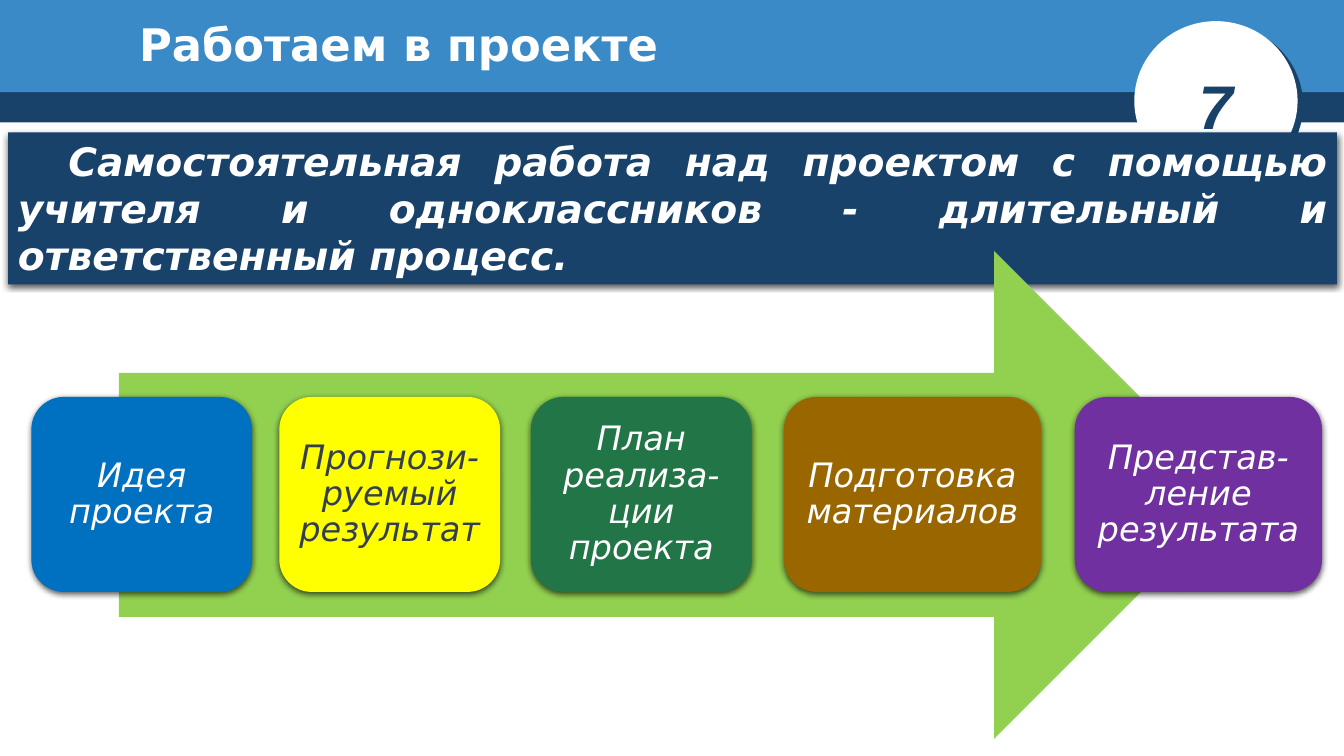
from dataclasses import dataclass

from lxml import etree
from pptx import Presentation, util as u
from pptx.dml.color import RGBColor
from pptx.enum import shapes, text
from pptx.oxml.ns import qn

Kind = shapes.MSO_SHAPE
Align = text.PP_ALIGN
Anchor = text.MSO_ANCHOR


@dataclass(frozen=True)
class Theme:
    font: str = "DejaVu Sans"
    number_font: str = "Arial"
    white: str = "FFFFFF"
    navy: str = "19426B"
    sky: str = "398AC7"
    green: str = "92D050"
    slate: str = "333F50"
    blue: str = "0070C0"
    yellow: str = "FFFF00"
    forest: str = "227547"
    brown: str = "996600"
    purple: str = "7030A0"
    black: str = "000000"
    number_size: int = 44
    title_size: int = 32
    banner_size: int = 28
    card_size: int = 24


@dataclass(frozen=True)
class Shadow:
    color: str
    opacity: int
    blur: float
    distance: float
    angle: int


SOFT = Shadow(Theme.black, 63, 4.5, 1.5, 90)
CRESCENT = Shadow(Theme.navy, 100, 0, 5, 37)


class SlideBuilder:
    """Areas are (left, top, width, height) in percent of the slide's size."""

    def __init__(self, deck, theme):
        self.deck = deck
        self.theme = theme
        self.page = deck.slides.add_slide(deck.slide_layouts[5])

    def place(self, area):
        width, height = self.deck.slide_width, self.deck.slide_height
        sides = (width, height, width, height)
        return [u.Emu(round(side * share / 100)) for side, share in zip(sides, area)]

    def shape(self, kind, area, fill, shadow=None):
        box = self.page.shapes.add_shape(kind, *self.place(area))
        box.fill.solid()
        box.fill.fore_color.rgb = RGBColor.from_string(fill)
        box.line.fill.background()
        box.shadow.inherit = False
        if shadow:
            self.cast(box, shadow)
        return box

    def cast(self, box, shadow):
        """Give the box an outer shadow."""
        effects = box.element.spPr.find(qn("a:effectLst"))
        outer = etree.SubElement(
            effects, qn("a:outerShdw"),
            blurRad=str(u.Pt(shadow.blur)), dist=str(u.Pt(shadow.distance)),
            dir=str(shadow.angle * 60000), algn="ctr", rotWithShape="0")
        color = etree.SubElement(outer, qn("a:srgbClr"), val=shadow.color)
        etree.SubElement(color, qn("a:alpha"), val=str(shadow.opacity * 1000))

    def set_text(self, box, words, size, color, align=Align.LEFT, anchor=Anchor.TOP,
                 font=None, bold=False, italic=True, spacing=1.0):
        frame = box.text_frame
        frame.word_wrap = True
        frame.auto_size = text.MSO_AUTO_SIZE.NONE
        frame.vertical_anchor = anchor
        para = frame.paragraphs[0]
        para.alignment = align
        para.line_spacing = spacing
        span = para.add_run()
        span.text = words
        span.font.name = font or self.theme.font
        span.font.size = u.Pt(size)
        span.font.bold = bold
        span.font.italic = italic
        span.font.color.rgb = RGBColor.from_string(color)
        return para

    def title(self, words, area):
        box = self.page.shapes.title
        box.left, box.top, box.width, box.height = self.place(area)
        box.element.getparent().append(box.element)  # in front of the header bands
        self.set_text(box, words, self.theme.title_size, self.theme.white,
                      anchor=Anchor.MIDDLE, bold=True, italic=False, spacing=0.9)

    def number(self, words, area):
        box = self.page.shapes.add_textbox(*self.place(area))
        self.set_text(box, words, self.theme.number_size, self.theme.navy,
                      font=self.theme.number_font, bold=True)

    def banner(self, words, area):
        box = self.shape(Kind.RECTANGLE, area, self.theme.navy, SOFT)
        para = self.set_text(box, words, self.theme.banner_size, self.theme.white,
                             align=Align.JUSTIFY, bold=True)
        para._p.get_or_add_pPr().set("indent", str(u.Inches(0.5)))

    def card(self, words, area, fill, color):
        box = self.shape(Kind.ROUNDED_RECTANGLE, area, fill, SOFT)
        box.text_frame.margin_left = box.text_frame.margin_right = u.Inches(0.08)
        self.set_text(box, words, self.theme.card_size, color, align=Align.CENTER,
                      anchor=Anchor.MIDDLE, spacing=0.9)


def main():
    deck = Presentation()
    deck.slide_width, deck.slide_height = u.Inches(13.33), u.Inches(7.5)
    theme = Theme()
    slide = SlideBuilder(deck, theme)

    slide.shape(Kind.RECTANGLE, (0, 11.6, 100, 4.6), theme.navy)
    slide.shape(Kind.RECTANGLE, (0, 0, 100, 12.2), theme.sky)
    slide.shape(Kind.OVAL, (84.4, 2.8, 12.15, 21.1), theme.white, CRESCENT)
    slide.shape(Kind.OVAL, (88.45, 10.1, 4.28, 7.2), theme.white)
    slide.number("7", (88.45, 8.27, 6.23, 11.2))
    slide.title("Работаем в проекте", (9.6, 2.4, 74.27, 7.73))
    slide.banner("Самостоятельная работа над проектом с помощью учителя и "
                 "одноклассников - длительный и ответственный процесс.",
                 (0.6, 17.5, 98.87, 20.13))

    slide.shape(Kind.RIGHT_ARROW, (8.85, 33.2, 83.27, 64.53), theme.green)
    stages = [
        ("Идея проекта", 2.33, 16.43, theme.blue, theme.white),
        ("Прогнози-руемый результат", 20.78, 16.43, theme.yellow, theme.slate),
        ("План реализа-ции проекта", 39.5, 16.43, theme.forest, theme.white),
        ("Подготовка материалов", 58.33, 19.13, theme.brown, theme.white),
        ("Представ-ление результата", 79.97, 18.4, theme.purple, theme.white),
    ]
    for words, left, width, fill, color in stages:
        slide.card(words, (left, 52.5, width, 25.8), fill, color)

    deck.save("out.pptx")


if __name__ == "__main__":
    main()
